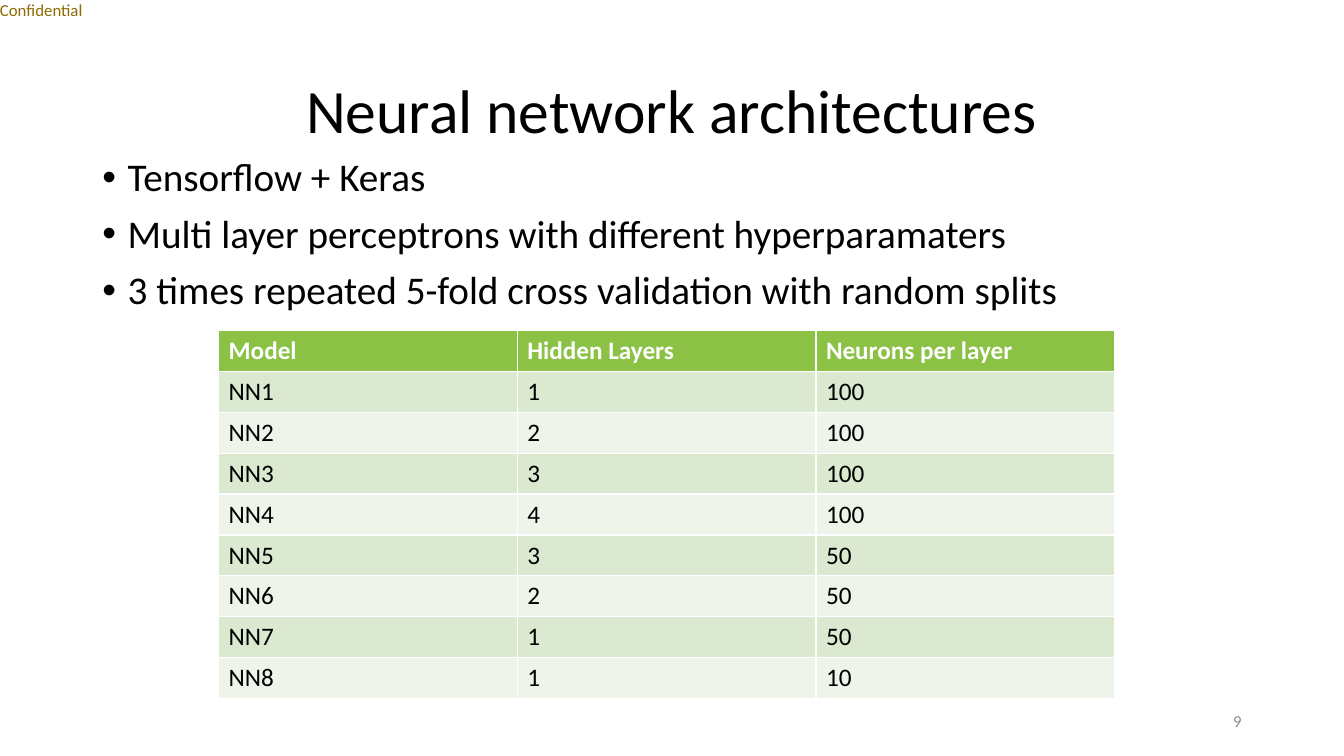
"""Build the slide on neural network architectures."""
from dataclasses import dataclass

from lxml import etree
from pptx import Presentation
from pptx.dml.color import RGBColor
from pptx.enum import text
from pptx.oxml import ns
from pptx.util import Cm, Pt

FONT = "Calibri"
BLACK = RGBColor(0x00, 0x00, 0x00)
WHITE = RGBColor(0xFF, 0xFF, 0xFF)
GREY = RGBColor(0x8C, 0x8C, 0x8C)
OCHRE = RGBColor(0x8E, 0x6A, 0x00)
GREEN = RGBColor(0x8B, 0xC1, 0x45)
MID = RGBColor(0xDA, 0xE9, 0xCF)
PALE = RGBColor(0xEE, 0xF4, 0xE9)

HEAD = ("Model", "Hidden Layers", "Neurons per layer")
NETS = ((1, 100), (2, 100), (3, 100), (4, 100), (3, 50), (2, 50), (1, 50), (1, 10))


@dataclass
class Block:
    """A text box, with its place in centimetres."""
    lines: tuple[str, ...]
    left: float
    top: float
    width: float
    height: float
    size: int
    color: RGBColor = BLACK
    align: text.PP_ALIGN = text.PP_ALIGN.LEFT
    anchor: text.MSO_ANCHOR = text.MSO_ANCHOR.MIDDLE
    inset: bool = True
    space: float = 1.0
    bullet: bool = False


BLOCKS = (
    Block(("Confidential",), 0, 0, 2.18, 0.51, 12, OCHRE,
          anchor=text.MSO_ANCHOR.TOP, inset=False),
    Block(("Neural network architectures",), 2.33, 1.01, 29.21, 3.68, 44,
          align=text.PP_ALIGN.CENTER, space=0.9),
    Block(("Tensorflow + Keras",
           "Multi layer perceptrons with different hyperparamaters",
           "3 times repeated 5-fold cross validation with random splits"),
          2.33, 3.86, 28.96, 13.28, 28, anchor=text.MSO_ANCHOR.TOP,
          space=0.9, bullet=True),
    Block(("9",), 23.92, 17.66, 7.62, 1.01, 12, GREY, text.PP_ALIGN.RIGHT),
)


def style(para, size: int, color: RGBColor, bold: bool = False) -> None:
    """Set the font of a paragraph."""
    font = para.font
    font.name, font.size, font.bold = FONT, Pt(size), bold
    font.color.rgb = color


def mark(para) -> None:
    """Give a paragraph a hanging bullet."""
    para.space_before = Pt(10)
    props = para._p.get_or_add_pPr()
    props.set("marL", str(Cm(0.64)))
    props.set("indent", str(-Cm(0.64)))
    face = etree.Element(ns.qn("a:buFont"), typeface="Arial")
    sign = etree.Element(ns.qn("a:buChar"), char="•")
    props.find(ns.qn("a:defRPr")).addprevious(face)
    face.addnext(sign)


def write(slide, block: Block) -> None:
    """Draw a text block."""
    box = slide.shapes.add_textbox(Cm(block.left), Cm(block.top),
                                   Cm(block.width), Cm(block.height))
    frame = box.text_frame
    frame.word_wrap = block.inset
    frame.vertical_anchor = block.anchor
    if not block.inset:
        frame.margin_left = frame.margin_right = 0
        frame.margin_top = frame.margin_bottom = 0
    frame.text = "\n".join(block.lines)
    for para in frame.paragraphs:
        para.alignment = block.align
        para.line_spacing = block.space
        style(para, block.size, block.color)
        if block.bullet:
            mark(para)


def tabulate(slide) -> None:
    """Draw the table of models."""
    rows = [HEAD] + [(f"NN{i}", *net) for i, net in enumerate(NETS, 1)]
    grid = slide.shapes.add_table(len(rows), len(HEAD), Cm(5.51), Cm(8.33),
                                  Cm(22.58), Cm(9.27)).table
    for r, row in enumerate(rows):
        fill = GREEN if r == 0 else MID if r % 2 else PALE
        for c, value in enumerate(row):
            cell = grid.cell(r, c)
            cell.text = str(value)
            cell.fill.solid()
            cell.fill.fore_color.rgb = fill
            style(cell.text_frame.paragraphs[0], 18,
                  BLACK if r else WHITE, r == 0)


def main() -> None:
    """Build and save the deck."""
    deck = Presentation()
    deck.slide_width, deck.slide_height = Cm(33.87), Cm(19.05)
    slide = deck.slides.add_slide(deck.slide_layouts[6])
    for block in BLOCKS:
        write(slide, block)
    tabulate(slide)
    deck.save("out.pptx")


if __name__ == "__main__":
    main()
